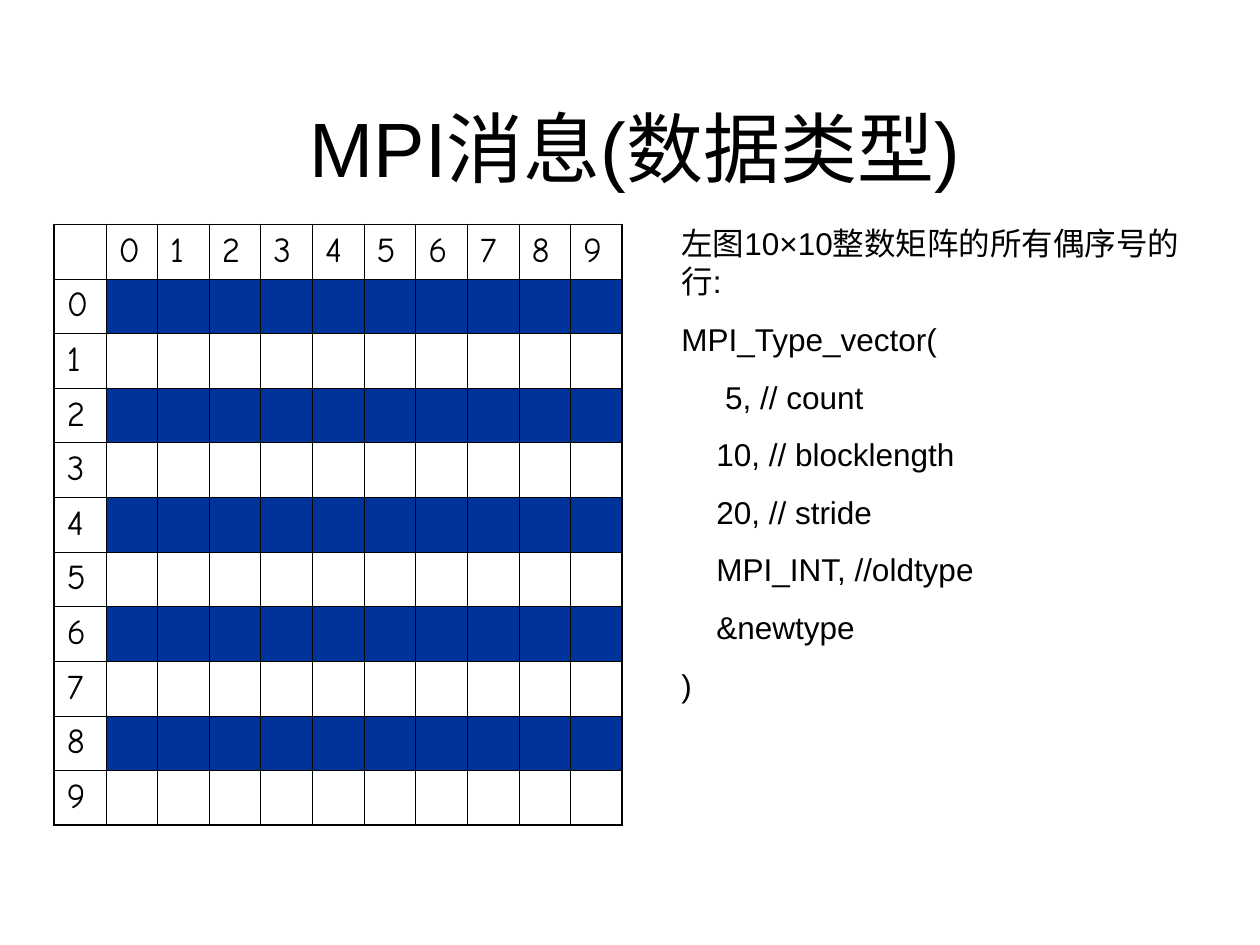
from dataclasses import dataclass

from lxml.etree import SubElement
from pptx import Presentation
from pptx.dml.color import RGBColor
from pptx.enum.text import MSO_ANCHOR as Anchor, PP_ALIGN as Align
from pptx.oxml.ns import qn
from pptx.util import Pt

BLACK, BLUE, WHITE = "000000", "003399", "FFFFFF"
THIN, THICK = 0.45, 1.08


@dataclass
class Frame:
    left: float
    top: float
    width: float
    height: float

    def lengths(self) -> tuple:
        return Pt(self.left), Pt(self.top), Pt(self.width), Pt(self.height)


@dataclass
class Style:
    font: str
    size: float
    color: str = BLACK


@dataclass
class Grid:
    frame: Frame
    labels: list[str]
    label_style: Style


TITLE_STYLE = Style("Arial", 44)
CODE_STYLE = Style("Arial", 18)
TITLE_FRAME = Frame(54, 54, 617.8, 59.8)
CODE_FRAME = Frame(382.3, 124.6, 300.2, 280.8)
MATRIX = Grid(Frame(31, 128.2, 324.7, 343.4), [str(n) for n in range(10)],
              Style("Comic Neue", 20))
CODE_LINES = [
    "左图10×10整数矩阵的所有偶序号的行:",
    "MPI_Type_vector(",
    "     5, // count",
    "    10, // blocklength",
    "    20, // stride",
    "    MPI_INT, //oldtype",
    "    &newtype",
    ")",
]


def rgb(color: str) -> RGBColor:
    return RGBColor.from_string(color)


def format_text(para, style: Style) -> None:
    for span in para.runs:
        span.font.name = style.font
        span.font.size = Pt(style.size)
        span.font.color.rgb = rgb(style.color)


def add_border(cell, side: str, width: float) -> None:
    line = SubElement(cell._tc.get_or_add_tcPr(), qn(f"a:ln{side}"), w=str(Pt(width)))
    fill = SubElement(line, qn("a:solidFill"))
    SubElement(fill, qn("a:srgbClr"), val=BLACK)


def fill_title(page, text: str) -> None:
    title = page.shapes.title
    title.left, title.top, title.width, title.height = TITLE_FRAME.lengths()
    title.text_frame.text = text
    title.text_frame.vertical_anchor = Anchor.MIDDLE
    para = title.text_frame.paragraphs[0]
    para.alignment = Align.CENTER
    format_text(para, TITLE_STYLE)


def add_matrix(page, grid: Grid) -> None:
    count = len(grid.labels) + 1
    last = count - 1
    table = page.shapes.add_table(count, count, *grid.frame.lengths()).table
    for column in table.columns:
        column.width = Pt(grid.frame.width / count)
    for row in table.rows:
        row.height = Pt(grid.frame.height / count)

    headings = ["", *grid.labels]
    for r in range(count):
        for c in range(count):
            cell = table.cell(r, c)
            # The outer edge is thicker than the inner lines
            edges = {"L": c == 0, "R": c == last, "T": r == 0, "B": r == last}
            for side, outer in edges.items():
                add_border(cell, side, THICK if outer else THIN)
            # Even matrix rows are selected
            selected = c > 0 and r % 2 == 1
            cell.fill.solid()
            cell.fill.fore_color.rgb = rgb(BLUE if selected else WHITE)
            if r == 0 or c == 0:
                cell.text_frame.text = headings[r + c]
                format_text(cell.text_frame.paragraphs[0], grid.label_style)


def add_code(page, frame: Frame, lines: list[str]) -> None:
    box = page.shapes.add_textbox(*frame.lengths())
    box.text_frame.word_wrap = True
    box.text_frame.text = "\n".join(lines)
    for index, para in enumerate(box.text_frame.paragraphs):
        para.line_spacing = Pt(21.7)
        para.space_before = Pt(11.2 if index else 0)
        format_text(para, CODE_STYLE)


def main() -> None:
    deck = Presentation()
    deck.slide_width, deck.slide_height = Pt(720), Pt(540)
    page = deck.slides.add_slide(deck.slide_layouts[5])  # title only

    fill_title(page, "MPI消息(数据类型)")
    add_matrix(page, MATRIX)
    add_code(page, CODE_FRAME, CODE_LINES)

    deck.save("out.pptx")


if __name__ == "__main__":
    main()
